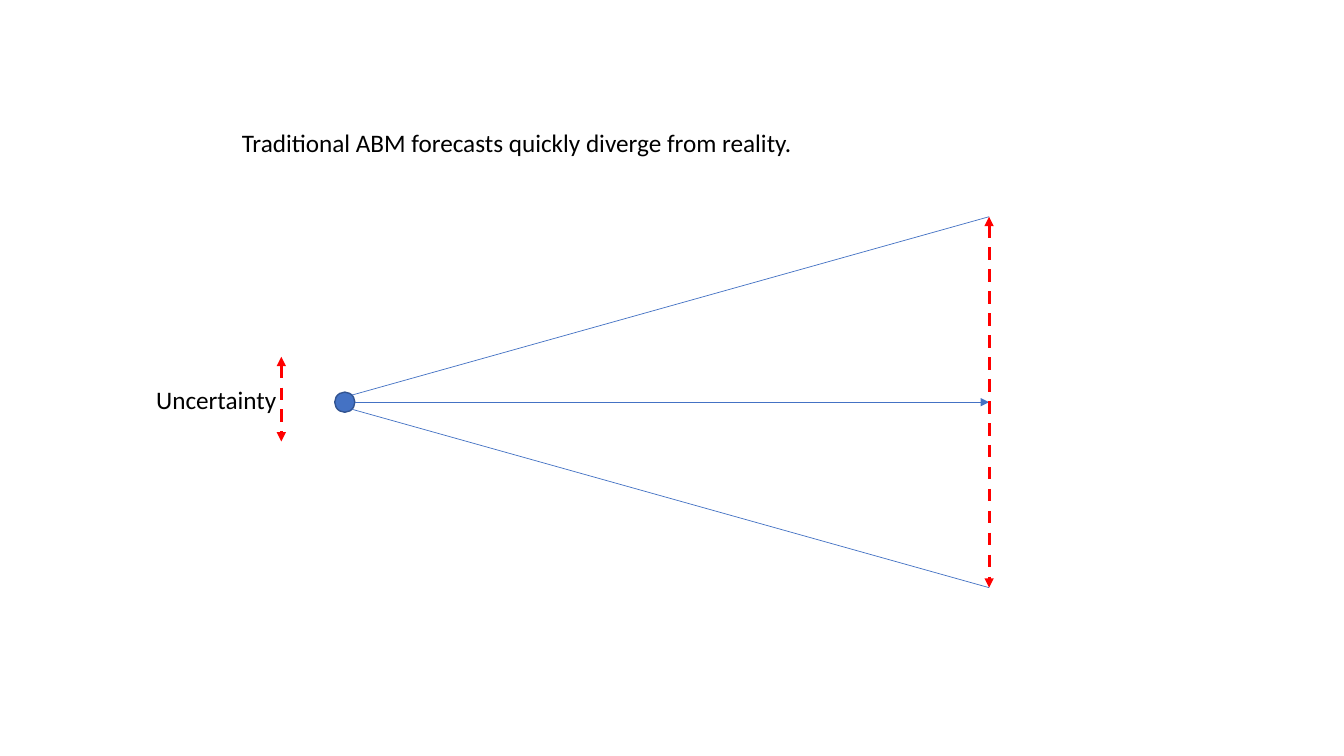
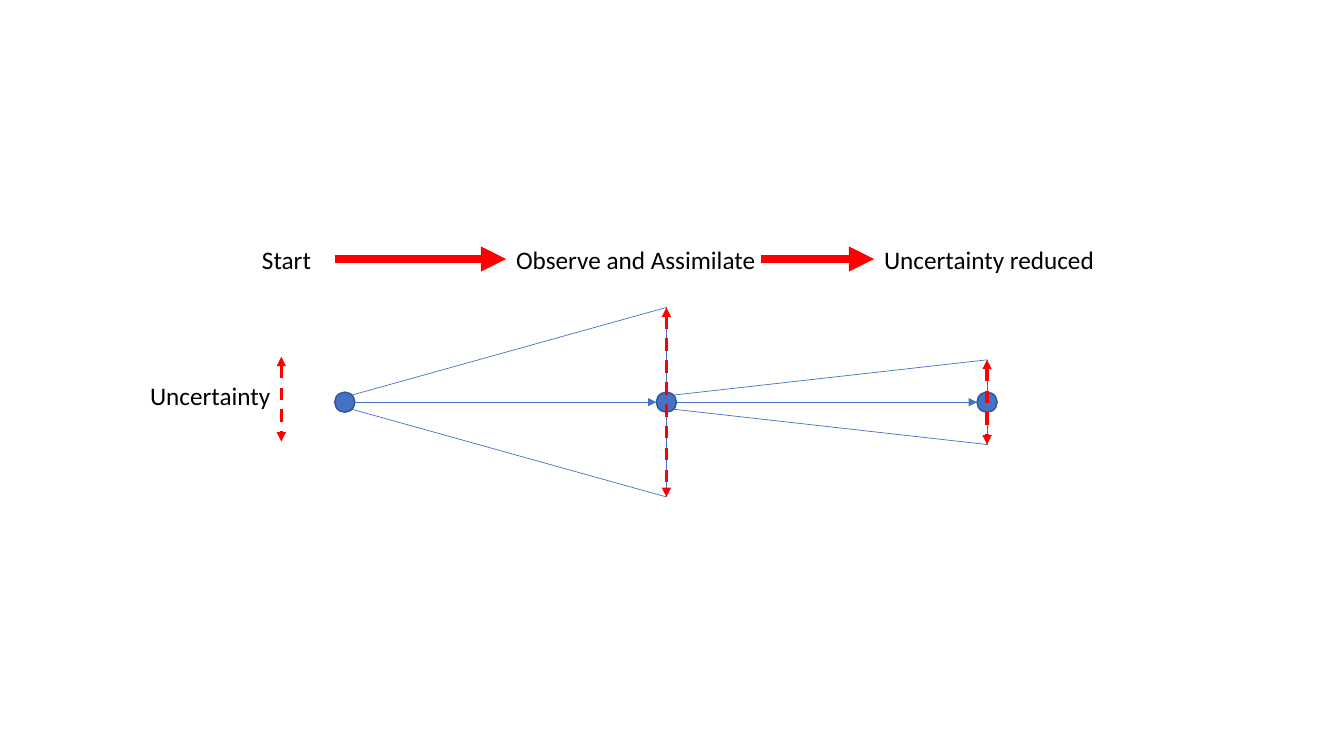
from lxml.etree import SubElement
from pptx import Presentation
from pptx.dml.color import RGBColor
from pptx.enum.dml import MSO_LINE
from pptx.enum.shapes import MSO_CONNECTOR, MSO_SHAPE
from pptx.enum.text import MSO_AUTO_SIZE
from pptx.oxml.ns import qn
from pptx.util import Inches, Pt

BLUE, DARK_BLUE, RED, BLACK = "4472C4", "325491", "FF0000", "000000"
FONT = {"name": "Calibri", "size": Pt(18)}
RAY = {"color": BLUE, "width": 0.5}
STEP = {"color": RED, "width": 6}
SPREAD = {"color": RED, "width": 2.25, "dash": MSO_LINE.DASH}

AXIS = 3.99
START = 3.42
NODE_SIZE = 0.2
RAY_OFFSET = 0.07
TEXT_HEIGHT = 0.4


def rgb(value):
    return RGBColor.from_string(value)


def add_line(slide, start, end, color, width, dash=None, arrows=()):
    """Draw a straight line; arrows may hold headEnd (start) and tailEnd (end)."""
    points = [Inches(value) for value in (*start, *end)]
    connector = slide.shapes.add_connector(MSO_CONNECTOR.STRAIGHT, *points)
    line = connector.line
    line.color.rgb = rgb(color)
    line.width = Pt(width)
    if dash:
        line.dash_style = dash
    properties = connector.element.spPr
    outline = properties.find(qn("a:ln"))
    for arrow in arrows:
        SubElement(outline, qn(f"a:{arrow}"), type="triangle")
    SubElement(properties, qn("a:effectLst"))


def add_label(slide, text, left, top, width):
    box = slide.shapes.add_textbox(
        *(Inches(value) for value in (left, top, width, TEXT_HEIGHT)))
    frame = box.text_frame
    frame.word_wrap = True
    frame.auto_size = MSO_AUTO_SIZE.SHAPE_TO_FIT_TEXT
    span = frame.paragraphs[0].add_run()
    span.text = text
    for name, value in FONT.items():
        setattr(span.font, name, value)
    span.font.color.rgb = rgb(BLACK)


def add_node(slide, center):
    """Draw a state of the model as a dot on the time axis."""
    node = slide.shapes.add_shape(
        MSO_SHAPE.OVAL, Inches(center - NODE_SIZE / 2),
        Inches(AXIS - NODE_SIZE / 2), Inches(NODE_SIZE), Inches(NODE_SIZE))
    node.shadow.inherit = False
    node.fill.solid()
    node.fill.fore_color.rgb = rgb(BLUE)
    node.line.color.rgb = rgb(DARK_BLUE)
    node.line.width = Pt(1)


def add_spread(slide, x, half, center=AXIS):
    """Draw the dashed double arrow that measures uncertainty."""
    add_line(slide, (x, center - half), (x, center + half), **SPREAD,
             arrows=("headEnd", "tailEnd"))


def add_fan(slide, start, end, half, arrow_end):
    """Draw the diverging forecast that leaves the node centred at start."""
    for side in (-1, 1):
        add_line(slide, (start + RAY_OFFSET, AXIS + side * RAY_OFFSET),
                 (end, AXIS + side * half), **RAY)
    add_line(slide, (start + NODE_SIZE / 2, AXIS), (arrow_end, AXIS), **RAY,
             arrows=("tailEnd",))


def add_uncertainty_key(slide, left, top):
    add_spread(slide, 2.79, 0.42, center=3.96)
    add_label(slide, "Uncertainty", left, top, 1.52)


def build_divergence(slide):
    end, half = 9.81, 1.84
    add_node(slide, START)
    add_fan(slide, START, end, half, arrow_end=end)
    add_label(slide, "Traditional ABM forecasts quickly diverge from reality.",
              2.3, 1.21, 5.77)
    add_uncertainty_key(slide, 1.45, 3.76)
    add_spread(slide, end, half)


def add_steps(slide, top):
    """Write the row of steps and the thick arrows between them."""
    for text, left, width in (("Start", 2.5, 0.82),
                              ("Observe and Assimilate", 5.02, 2.89),
                              ("Uncertainty reduced", 8.67, 2.89)):
        add_label(slide, text, left, top, width)
    middle = top + TEXT_HEIGHT / 2
    for start, end in ((3.32, 5.02), (7.55, 8.67)):
        add_line(slide, (start, middle), (end, middle), **STEP,
                 arrows=("tailEnd",))


def build_assimilation(slide):
    nodes = (START, 6.61, 9.79)
    halves = (0.94, 0.42)
    for center in nodes:
        add_node(slide, center)
    for start, end, half in zip(nodes, nodes[1:], halves):
        add_fan(slide, start, end, half, arrow_end=end - NODE_SIZE / 2)
        add_line(slide, (end, AXIS - half), (end, AXIS + half), **RAY)
        add_spread(slide, end, half)
    add_steps(slide, 2.37)
    add_uncertainty_key(slide, 1.39, 3.72)


def main():
    deck = Presentation()
    deck.slide_width, deck.slide_height = Inches(13.33), Inches(7.5)
    for build in (build_divergence, build_assimilation):
        build(deck.slides.add_slide(deck.slide_layouts[6]))
    deck.save("out.pptx")


if __name__ == "__main__":
    main()
